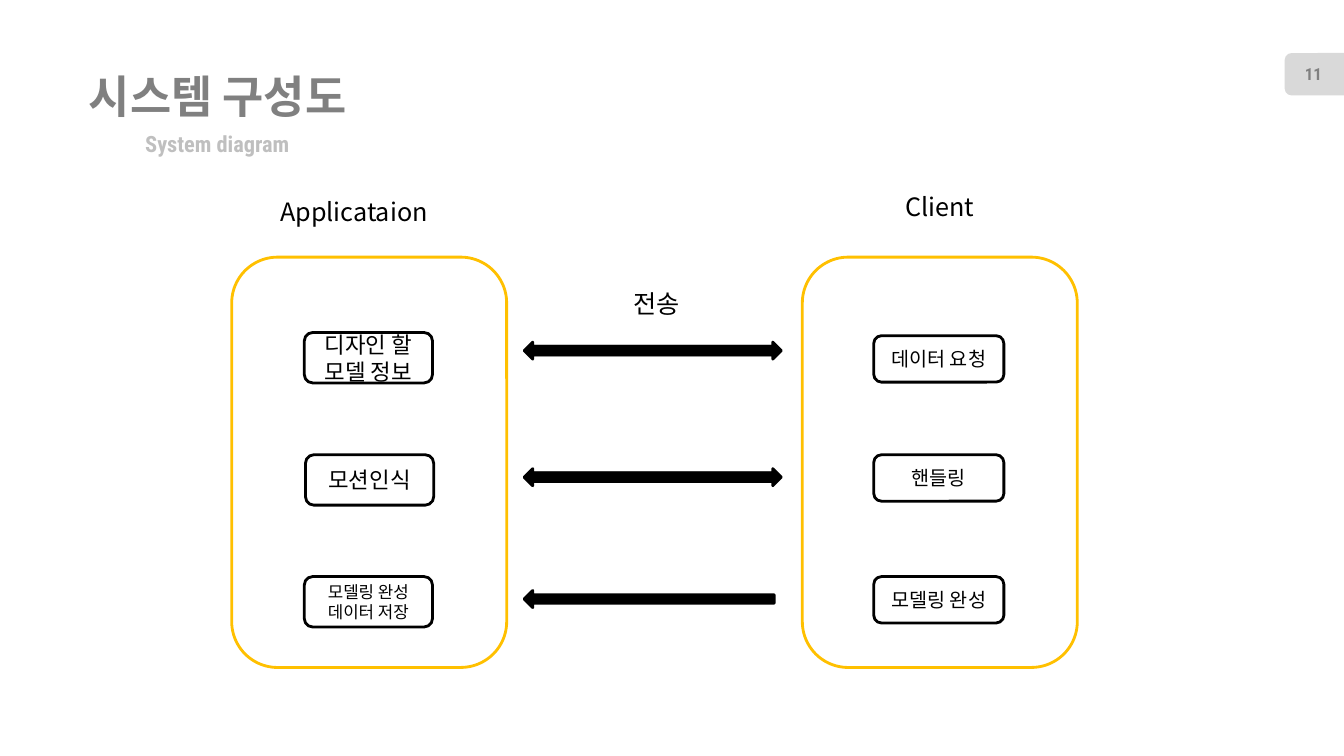
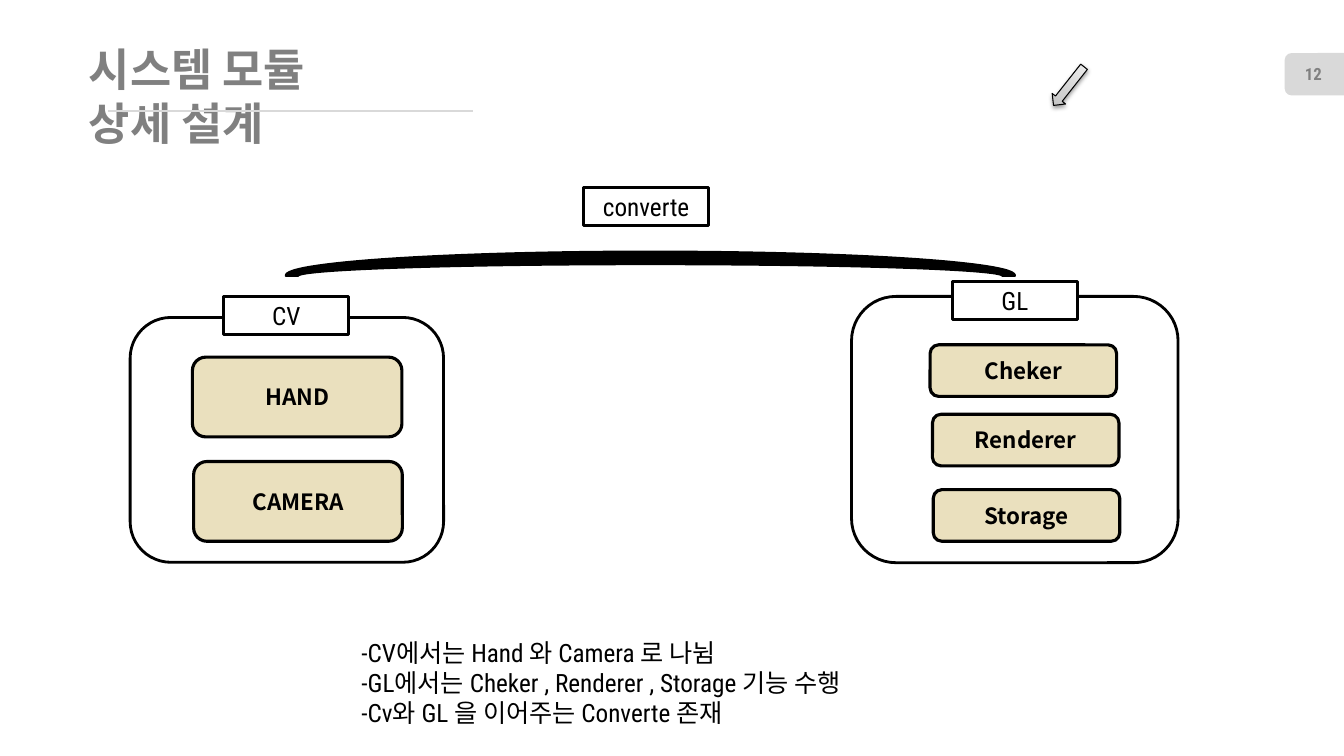
from copy import deepcopy

from lxml import etree
from pptx import Presentation, dml, util as u
from pptx.dml import color
from pptx.enum import shapes, text
from pptx.oxml import ns

Cm, Pt = u.Cm, u.Pt
G = shapes.MSO_SHAPE
AL = text.PP_ALIGN
MID = text.MSO_ANCHOR.MIDDLE
COLORS = {"ink": "000000", "paper": "FFFFFF", "title": "808080",
          "subtitle": "BFBFBF", "pale": "D9D9D9", "amber": "FFC000",
          "sand": "EAE0BE"}
RGB = {name: color.RGBColor.from_string(h) for name, h in COLORS.items()}
NOTO, CONDENSED = "Noto Sans CJK KR", "Roboto Condensed"

LABEL = {"name": NOTO, "size": Pt(18)}
MODULE = {"name": NOTO, "size": Pt(16), "bold": True}
TAG = {"name": CONDENSED, "size": Pt(18)}
TITLE = {"name": "Roboto", "size": Pt(32), "bold": True}
SUBTITLE = {"name": CONDENSED, "size": Pt(16), "bold": True}
NUMBER = {"name": CONDENSED, "size": Pt(12), "bold": True}


def write(sp, lines, font, ink="ink", align=AL.CENTER, anchor=MID, inset=None):
    """Fill a shape or text box with one paragraph per line."""
    tf = sp.text_frame
    tf.word_wrap, tf.vertical_anchor = True, anchor
    if inset is not None:
        for side in ("left", "top", "right", "bottom"):
            setattr(tf, f"margin_{side}", inset)
    for i, line in enumerate(lines.split("\n")):
        p = tf.add_paragraph() if i else tf.paragraphs[0]
        p.alignment = align
        r = p.add_run()
        r.text = line
        for key, value in font.items():
            setattr(r.font, key, value)
        r.font.color.rgb = RGB[ink]
        ea = etree.SubElement(r.font._element, ns.qn("a:ea"))
        ea.set("typeface", NOTO)


def draw(s, kind, x, y, w, h, fill=None, line="ink", width=2, turn=0):
    """Add a preset shape, measured in centimetres."""
    sp = s.shapes.add_shape(kind, Cm(x), Cm(y), Cm(w), Cm(h))
    sp.shadow.inherit = False
    sp.rotation = turn
    if fill:
        sp.fill.solid()
        sp.fill.fore_color.rgb = RGB[fill]
    else:
        sp.fill.background()
    if line:
        sp.line.color.rgb = RGB[line]
        sp.line.width = Pt(width)
    else:
        sp.line.fill.background()
    return sp


prs = Presentation()
prs.slide_width, prs.slide_height = Cm(33.87), Cm(19.05)

# Page tab, number and title on both slides
slides = []
for number, title in ((11, "시스템 구성도"), (12, "시스템 모듈 상세 설계")):
    s = prs.slides.add_slide(prs.slide_layouts[6])
    draw(s, G.ROUND_2_SAME_RECTANGLE, 32.59, 1.12, 1.07, 1.5, "pale", None, turn=270)
    sp = s.shapes.add_textbox(Cm(32.39), Cm(1.35), Cm(1.42), Cm(1.02))
    write(sp, str(number), NUMBER, "title")
    sp = s.shapes.add_textbox(Cm(2.24), Cm(1.75), Cm(7.09), Cm(1.32))
    write(sp, title, TITLE, "title", AL.LEFT, inset=0)
    slides.append(s)
system, modules = slides

# System diagram
sp = system.shapes.add_textbox(Cm(3.66), Cm(3.25), Cm(15.24), Cm(0.74))
write(sp, "System diagram ", SUBTITLE, "subtitle", AL.LEFT, inset=0)
for label, x, y, align in (("Applicataion", 6.81, 4.83, AL.LEFT),
                           ("Client", 21.18, 4.7, AL.CENTER),
                           ("전송", 14.05, 7.14, AL.CENTER)):
    sp = system.shapes.add_textbox(Cm(x), Cm(y), Cm(5), Cm(1.02))
    write(sp, label, LABEL, align=align, anchor=text.MSO_ANCHOR.TOP)
for x in (5.84, 20.22):
    draw(system, G.ROUNDED_RECTANGLE, x, 6.48, 6.93, 10.34, line="amber")

steps = (("디자인 할 모델 정보", 16, 7.67, 8.38, "데이터 요청", 8.46),
         ("모션인식", 16, 7.7, 11.46, "핸들링", 11.46),
         ("모델링 완성\n데이터 저장", 12, 7.67, 14.53, "모델링 완성", 14.53))
for app, size, x, y, client, client_y in steps:
    sp = draw(system, G.ROUNDED_RECTANGLE, x, y, 3.23, 1.27)
    write(sp, app, {"name": NOTO, "size": Pt(size)})
    sp = draw(system, G.ROUNDED_RECTANGLE, 22.02, client_y, 3.28, 1.17)
    write(sp, client, {"name": NOTO, "size": Pt(14)})

for y, both_ways in ((8.62, True), (11.81, True), (14.88, False)):
    draw(system, G.RIGHT_ARROW, 13.21, y, 6.3, 0.43, "ink", turn=180)
    if both_ways:
        draw(system, G.RIGHT_ARROW, 13.39, y, 6.3, 0.43, "ink")

# Module design
rule = modules.shapes.add_connector(shapes.MSO_CONNECTOR.STRAIGHT,
                                    Cm(2.72), Cm(2.79), Cm(11.91), Cm(2.79))
rule.line.color.rgb, rule.line.width = RGB["pale"], Pt(1.5)
etree.SubElement(rule._element.spPr, ns.qn("a:effectLst"))

pointer = draw(modules, G.DOWN_ARROW, 26.72, 1.55, 0.43, 1.24, width=0.75, turn=38.3)
pointer.fill.gradient()
pointer.fill.gradient_angle = 90
stops = pointer._element.spPr.find(ns.qn("a:gradFill")).find(ns.qn("a:gsLst"))
stops.insert(1, deepcopy(stops[0]))
for stop, pos, tone in zip(stops, (0, 35, 100), ("BDBDBD", "D1D1D1", "EEEEEE")):
    stop.set("pos", str(pos * 1000))
    for child in list(stop):
        stop.remove(child)
    etree.SubElement(stop, ns.qn("a:srgbClr")).set("val", tone)
effects = pointer._element.spPr.find(ns.qn("a:effectLst"))
shadow = etree.SubElement(effects, ns.qn("a:outerShdw"), blurRad=str(Pt(3.1)),
                          dist=str(Pt(1.6)), dir="5400000", rotWithShape="0")
tint = etree.SubElement(shadow, ns.qn("a:srgbClr"), val=COLORS["ink"])
etree.SubElement(tint, ns.qn("a:alpha"), val="38000")

sp = modules.shapes.add_textbox(Cm(8.86), Cm(15.93), Cm(18.21), Cm(2.57))
write(sp, "-CV에서는 Hand 와 Camera 로 나뉨\n"
          "-GL에서는 Cheker , Renderer , Storage 기능 수행\n"
          "-Cv와 GL 을 이어주는 Converte 존재",
      TAG, align=AL.LEFT, anchor=text.MSO_ANCHOR.TOP)

for panel in ((3.28, 8, 7.9, 6.17), (21.46, 7.47, 8.23, 6.71)):
    draw(modules, G.ROUNDED_RECTANGLE, *panel)
draw(modules, G.BLOCK_ARC, 7.21, 6.35, 18.36, 1.19, "ink")
for name, x, y in (("CV", 5.64, 7.47), ("converte", 14.71, 4.72), ("GL", 24, 7.09)):
    write(draw(modules, G.RECTANGLE, x, y, 3.15, 0.97, "paper"), name, TAG)
for name, x, y, w, h in (("HAND", 4.85, 9, 5.28, 2.01),
                         ("CAMERA", 4.88, 11.63, 5.26, 2.01),
                         ("Cheker", 23.44, 8.69, 4.7, 1.3),
                         ("Renderer", 23.5, 10.44, 4.7, 1.3),
                         ("Storage", 23.52, 12.34, 4.7, 1.3)):
    sp = draw(modules, G.ROUNDED_RECTANGLE, x, y, w, h, "sand", width=2.25)
    write(sp, name, MODULE)

prs.save("out.pptx")
